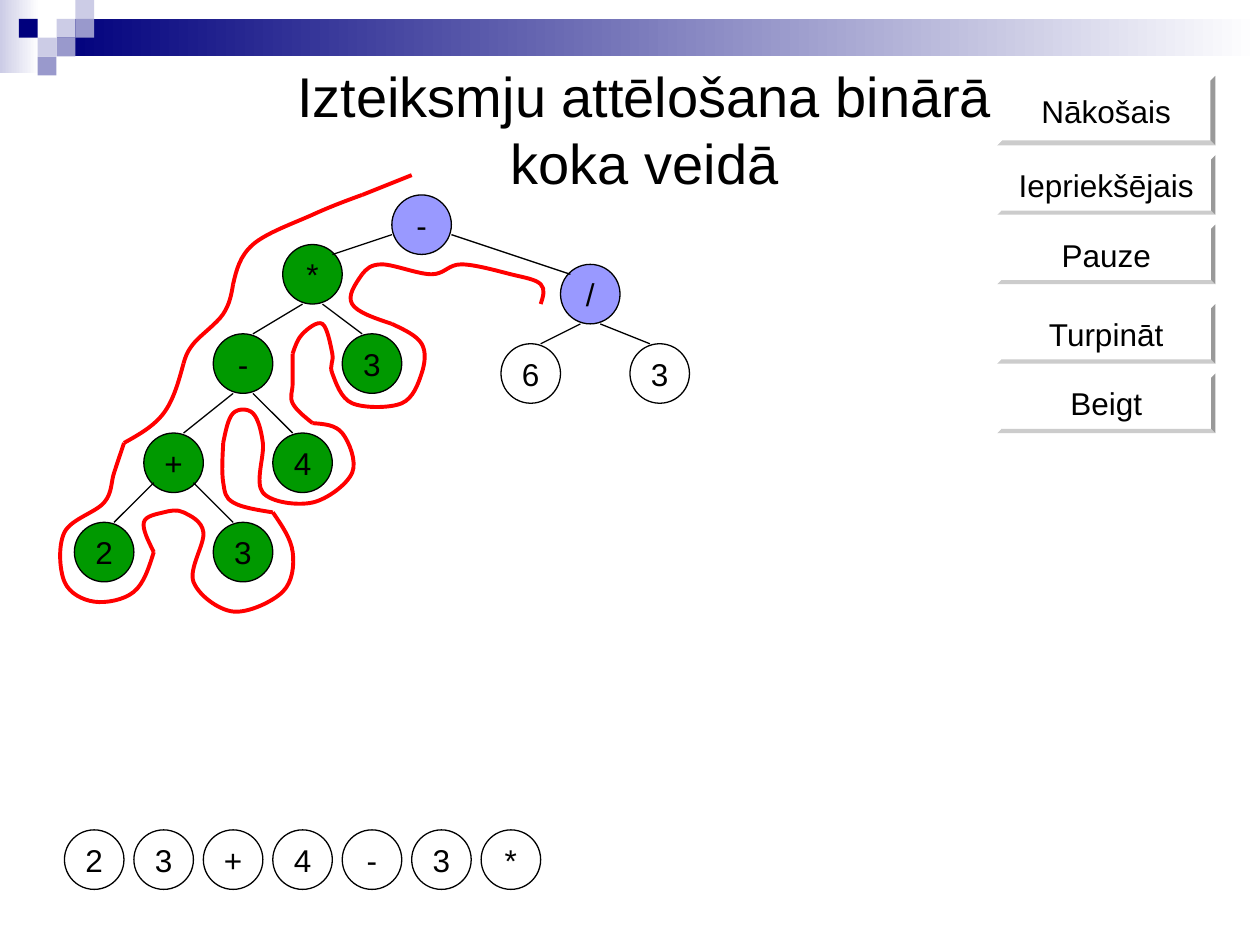
from dataclasses import dataclass

from lxml import etree
from pptx import Presentation
from pptx.dml.color import RGBColor as Rgb
from pptx.enum.shapes import MSO_CONNECTOR as Link, MSO_SHAPE as Kind
from pptx.enum.text import MSO_ANCHOR as Anchor, PP_ALIGN as Align
from pptx.oxml.ns import qn
from pptx.util import Cm, Pt


@dataclass(frozen=True)
class Theme:
    font: str = "Arial"
    head: int = 32
    body: int = 18
    thin: float = 0.75
    thick: float = 2.25
    ink: str = "000000"
    white: str = "FFFFFF"
    navy: str = "00007D"
    mist: str = "CCCCE6"
    haze: str = "9999CC"
    done: str = "009900"
    ahead: str = "9999FF"
    trace: str = "FF0000"


def bend(pts):
    """Return start, then two controls and an end for each smooth segment."""
    def lean(i, sign):
        return tuple(p + sign * (b - a) / 6
                     for a, p, b in zip(pts[i - 1], pts[i], pts[i + 1]))

    def mid(a, b):
        return tuple((u + v) / 2 for u, v in zip(a, b))

    last = len(pts) - 1
    out = [pts[0]]
    for i in range(last):
        one = lean(i, 1) if i else None
        two = lean(i + 1, -1) if i + 1 < last else None
        out += [one or mid(pts[0], two), two or mid(one, pts[last]), pts[i + 1]]
    return out


class Board:
    def __init__(self, slide, theme):
        self.shapes = slide.shapes
        self.theme = theme

    def paint(self, shape, tint):
        shape.fill.solid()
        shape.fill.fore_color.rgb = Rgb.from_string(tint)

    def pen(self, shape, tint, width):
        shape.line.color.rgb = Rgb.from_string(tint)
        shape.line.width = Pt(width)

    def label(self, shape, text, size, wrap=False, anchor=Anchor.MIDDLE):
        frame = shape.text_frame
        para = frame.paragraphs[0]
        para.text = text
        para.font.color.rgb = Rgb.from_string(self.theme.ink)
        looks = (
            (frame, dict(word_wrap=wrap, vertical_anchor=anchor)),
            (para, dict(alignment=Align.CENTER)),
            (para.font, dict(name=self.theme.font, size=Pt(size))),
        )
        for item, look in looks:
            for key, val in look.items():
                setattr(item, key, val)

    def shape(self, kind, box, tint):
        item = self.shapes.add_shape(kind, *map(Cm, box))
        item.shadow.inherit = False
        item.line.fill.background()
        self.paint(item, tint)
        return item

    def fade(self, box, tint):
        """Add a bar that fades to white on the right."""
        fill = self.shape(Kind.RECTANGLE, box, tint).fill
        fill.gradient()
        fill.gradient_angle = 0
        for stop, hue in zip(fill.gradient_stops, (tint, self.theme.white)):
            stop.color.rgb = Rgb.from_string(hue)

    def button(self, box, text):
        item = self.shape(Kind.BEVEL, box, self.theme.white)
        item.adjustments[0] = 0.07
        self.label(item, text, self.theme.body)

    def node(self, x, y, text, tint):
        item = self.shape(Kind.OVAL, (x, y, 1.2, 1.2), tint)
        self.pen(item, self.theme.ink, self.theme.thin)
        self.label(item, text, self.theme.body)

    def title(self, box, text):
        item = self.shapes.add_textbox(*map(Cm, box))
        self.label(item, text, self.theme.head, True, Anchor.TOP)

    def line(self, ends, tint, width):
        item = self.shapes.add_connector(Link.STRAIGHT, *map(Cm, ends))
        self.pen(item, tint, width)
        etree.SubElement(item._element.spPr, qn("a:effectLst"))

    def curve(self, pts):
        """Draw a smooth open curve through the points."""
        start, *rest = [tuple(map(Cm, p)) for p in bend(pts)]
        form = self.shapes.build_freeform(*start)
        form.add_line_segments(rest, close=False)
        item = form.convert_to_shape()
        item.shadow.inherit = False
        item.fill.background()
        self.pen(item, self.theme.trace, self.theme.thick)
        track = item._element.find(".//" + qn("a:path"))
        legs = track.findall(qn("a:lnTo"))
        for i in range(0, len(legs), 3):
            cubic = etree.SubElement(track, qn("a:cubicBezTo"))
            for leg in legs[i:i + 3]:
                cubic.append(leg[0])
                track.remove(leg)


def main():
    deck = Presentation()
    deck.slide_width, deck.slide_height = Cm(25.4), Cm(19.05)
    look = Theme()
    board = Board(deck.slides.add_slide(deck.slide_layouts[6]), look)

    board.fade((0, 0, 0.79, 1.47), look.mist)
    board.fade((1.14, 0.38, 24.26, 0.76), look.navy)
    side = 0.38
    for col, row, tint in (
            (3, 1, look.mist), (4, 0, look.mist), (4, 1, look.haze),
            (2, 2, look.mist), (1, 1, look.navy), (3, 2, look.haze),
            (2, 3, look.haze)):
        board.shape(Kind.RECTANGLE, (col * side, row * side, side, side), tint)

    for top, high, text in (
            (1.53, 1.4, "Nākošais"), (3.13, 1.2, "Iepriekšējais"),
            (4.53, 1.2, "Pauze"), (6.13, 1.2, "Turpināt"),
            (7.53, 1.2, "Beigt")):
        board.button((20.1, top, 4.4, high), text)
    board.title((4.5, 1.12, 17, 2.97), "Izteiksmju attēlošana binārā koka veidā")

    tree = {
        look.done: ((2.9, 8.73, "+"), (1.5, 10.53, "2"), (4.3, 10.53, "3"),
                    (5.5, 8.73, "4"), (4.3, 6.73, "-"), (6.9, 6.73, "3"),
                    (5.7, 4.93, "*")),
        look.white: ((12.7, 6.93, "3"), (10.1, 6.93, "6")),
        look.ahead: ((11.3, 5.33, "/"), (7.9, 3.93, "-")),
    }
    for tint, nodes in tree.items():
        for x, y, text in nodes:
            board.node(x, y, text, tint)
    for ends in (
            (2.3, 10.53, 3.1, 9.73), (4.7, 10.53, 3.9, 9.73),
            (5.9, 8.73, 5.1, 7.93), (3.7, 8.73, 4.7, 7.93),
            (7.3, 6.73, 6.5, 6.13), (5.1, 6.73, 6.1, 6.13),
            (6.7, 5.13, 7.9, 4.73), (13.1, 6.93, 12.1, 6.53),
            (10.9, 6.93, 11.7, 6.53), (11.5, 5.53, 9.1, 4.73)):
        board.line(ends, look.ink, look.thin)

    board.line((8.3, 3.53, 7.3, 3.93), look.trace, look.thick)
    for pts in (
            ((7.3, 3.93), (6.3, 4.33), (5.1, 4.93), (4.7, 5.73)),
            ((4.7, 5.73), (4.5, 6.33), (3.9, 6.93), (3.7, 7.33)),
            ((3.7, 7.33), (3.3, 8.33), (2.5, 8.93)),
            ((2.5, 8.93), (2.3, 9.53), (2.1, 10.13), (1.3, 10.73),
             (1.3, 11.73), (1.9, 12.13), (2.7, 11.93), (3.1, 11.13)),
            ((3.1, 11.13), (2.9, 10.53), (3.3, 10.33), (3.7, 10.33),
             (4.1, 10.73), (3.9, 11.73), (4.7, 12.33), (5.7, 11.93),
             (5.9, 11.13), (5.5, 10.33)),
            ((5.5, 10.33), (4.7, 10.13), (4.5, 9.73), (4.5, 8.93)),
            ((4.5, 8.93), (4.7, 8.33), (5.1, 8.33), (5.3, 8.93), (5.3, 9.93),
             (6.3, 10.13), (7.1, 9.53), (6.9, 8.73), (6.3, 8.53)),
            ((6.3, 8.53), (5.9, 8.13), (5.9, 7.73), (5.9, 7.13)),
            ((5.9, 7.13), (6.1, 6.73), (6.5, 6.53), (6.7, 7.13), (6.7, 7.53),
             (7.1, 8.13), (8.1, 8.13), (8.5, 7.53), (8.5, 6.93), (7.9, 6.53)),
            ((7.9, 6.53), (7.1, 6.13), (7.3, 5.53)),
            ((7.3, 5.53), (7.7, 5.33), (8.7, 5.53), (9.3, 5.33), (10.3, 5.53),
             (10.9, 5.73), (10.9, 6.13))):
        board.curve(pts)

    for i, text in enumerate("23+4-3*"):
        board.node(1.3 + 1.4 * i, 16.73, text, look.white)
    deck.save("out.pptx")


if __name__ == "__main__":
    main()
